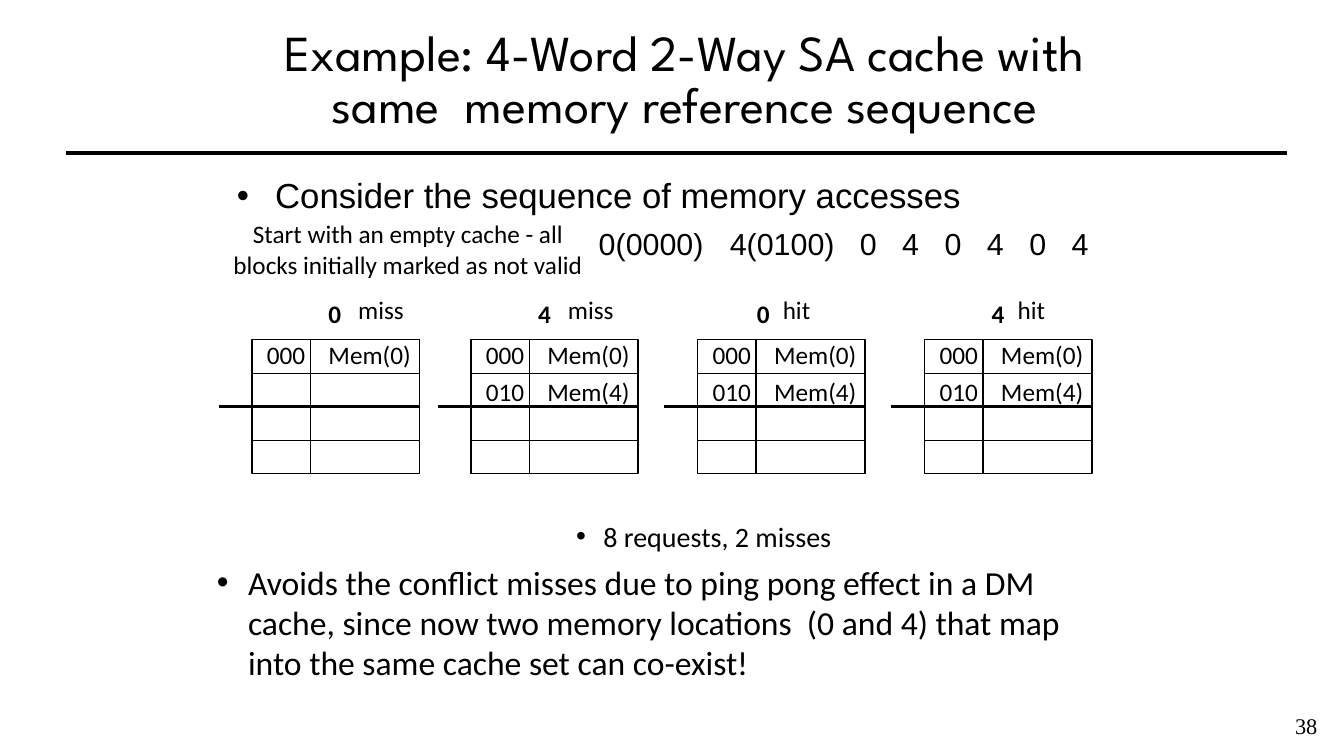
from dataclasses import dataclass

import pptx
import pptx.dml.color
import pptx.enum.shapes
import pptx.enum.text
import pptx.oxml.ns
import pptx.util
from lxml import etree

Inches, Pt = pptx.util.Inches, pptx.util.Pt
Align, Anchor = pptx.enum.text.PP_ALIGN, pptx.enum.text.MSO_ANCHOR
qn = pptx.oxml.ns.qn


@dataclass(frozen=True)
class Theme:
    ink: pptx.dml.color.RGBColor = pptx.dml.color.RGBColor(0, 0, 0)
    title_font: str = "League Spartan"
    body_font: str = "Calibri"
    lead_font: str = "Arial"
    number_font: str = "Times New Roman"
    title: float = 36
    lead: float = 24.8
    sequence: float = 21.7
    body: float = 24
    result: float = 20
    label: float = 18
    number: float = 16
    rule: float = 3
    set_divider: float = 2.25
    grid: float = 1


@dataclass(frozen=True)
class Box:
    left: float
    top: float
    width: float
    height: float


@dataclass(frozen=True)
class CacheState:
    left: float
    address_left: float
    address: str
    outcome_left: float
    outcome: str
    entries: tuple[str, ...]


THEME = Theme()
GRID_TOP, GRID_HEIGHT, ROWS = 3.37, 1.33, 4
TAG_WIDTH, DATA_WIDTH, DIVIDER_OVERHANG = 0.58, 1.08, 0.33
MEM_0, MEM_4 = "000\tMem(0)", "010\tMem(4)"
STATES = (
    CacheState(2.5, 3.15, "0", 3.45, "miss", (MEM_0,)),
    CacheState(4.67, 5.23, "4", 5.53, "miss", (MEM_0, MEM_4)),
    CacheState(6.92, 7.4, "0", 7.66, "hit", (MEM_0, MEM_4)),
    CacheState(9.17, 9.73, "4", 9.99, "hit", (MEM_0, MEM_4)),
)


def add_line(slide, x1: float, y1: float, x2: float, y2: float, weight: float) -> None:
    line = slide.shapes.add_connector(
        pptx.enum.shapes.MSO_CONNECTOR.STRAIGHT,
        Inches(x1), Inches(y1), Inches(x2), Inches(y2))
    line.line.color.rgb = THEME.ink
    line.line.width = Pt(weight)
    etree.SubElement(line._element.spPr, qn("a:effectLst"))


def add_text(slide, box: Box, text: str, size: float, font: str = THEME.body_font,
             align: Align = Align.CENTER, wrap: bool = True, bold: bool = False):
    sp = slide.shapes.add_textbox(
        Inches(box.left), Inches(box.top), Inches(box.width), Inches(box.height))
    tf = sp.text_frame
    tf.word_wrap = wrap
    tf.text = text
    p = tf.paragraphs[0]
    p.alignment = align
    for r in p.runs:
        r.font.name = font
        r.font.size = Pt(size)
        r.font.bold = bold
        r.font.color.rgb = THEME.ink
    return tf


def set_bullet(tf, margin: float, hang: float) -> None:
    pPr = tf.paragraphs[0]._p.get_or_add_pPr()
    pPr.set("marL", str(Inches(margin)))
    pPr.set("indent", str(-Inches(hang)))
    etree.SubElement(pPr, qn("a:buFont"), typeface="Arial")
    etree.SubElement(pPr, qn("a:buChar"), char="•")


def set_tabs(tf, stops: list[float]) -> None:
    tabs = etree.SubElement(tf.paragraphs[0]._p.get_or_add_pPr(), qn("a:tabLst"))
    for stop in stops:
        etree.SubElement(tabs, qn("a:tab"), pos=str(Inches(stop)), algn="l")


def set_slim_insets(tf) -> None:
    tf.margin_left = tf.margin_right = Inches(0.07)
    tf.margin_top = tf.margin_bottom = Inches(0.03)


def add_column(slide, left: float, width: float) -> None:
    sp = slide.shapes.add_shape(
        pptx.enum.shapes.MSO_SHAPE.RECTANGLE,
        Inches(left), Inches(GRID_TOP), Inches(width), Inches(GRID_HEIGHT))
    sp.shadow.inherit = False
    sp.fill.background()
    sp.line.color.rgb = THEME.ink
    sp.line.width = Pt(THEME.grid)
    for row in range(1, ROWS):
        y = GRID_TOP + row * GRID_HEIGHT / ROWS
        add_line(slide, left, y, left + width, y, THEME.grid)


def add_cache(slide, state: CacheState) -> None:
    # Tag and data columns, with a heavy line between the two sets
    data_left = state.left + TAG_WIDTH
    add_column(slide, state.left, TAG_WIDTH)
    add_column(slide, data_left, DATA_WIDTH)
    middle = GRID_TOP + GRID_HEIGHT / 2
    add_line(slide, state.left - DIVIDER_OVERHANG, middle,
             data_left + DATA_WIDTH, middle, THEME.set_divider)

    # Requested address and its outcome
    add_text(slide, Box(state.address_left, 2.91, 0.34, 0.4), state.address,
             THEME.label, wrap=False, bold=True)
    outcome_width = 0.66 if state.outcome == "miss" else 0.48
    add_text(slide, Box(state.outcome_left, 2.87, outcome_width, 0.4), state.outcome,
             THEME.label, wrap=False)

    # Stored blocks
    for row, entry in enumerate(state.entries):
        tf = add_text(slide, Box(state.left + 0.05, 3.32 + 0.36 * row, 1.64, 0.4),
                      entry, THEME.label, align=Align.LEFT)
        set_tabs(tf, [0.61])


def main() -> None:
    prs = pptx.Presentation()
    prs.slide_width, prs.slide_height = Inches(13.33), Inches(7.5)
    slide = prs.slides.add_slide(prs.slide_layouts[6])

    # Title and rule
    add_line(slide, 0.65, 1.52, 12.76, 1.52, THEME.rule)
    tf = add_text(slide, Box(0.58, 0.19, 12.42, 1.25),
                  "Example: 4-Word 2-Way SA cache with\vsame  memory reference sequence",
                  THEME.title, THEME.title_font)
    tf.vertical_anchor = Anchor.MIDDLE
    tf.paragraphs[0].line_spacing = 0.85

    # Access sequence and starting condition
    tf = add_text(slide, Box(2.25, 1.68, 8.92, 0.5),
                  "Consider the sequence of memory accesses",
                  THEME.lead, THEME.lead_font, Align.LEFT)
    set_bullet(tf, 0.38, 0.38)
    accesses = ["0(0000)", "4(0100)", "0", "4", "0", "4", "0", "4"]
    tf = add_text(slide, Box(5.84, 2.18, 5.33, 0.45), "\t".join(accesses),
                  THEME.sequence, THEME.lead_font, Align.LEFT)
    set_tabs(tf, [1.3] + [2.59 + 0.42 * i for i in range(len(accesses) - 2)])
    add_text(slide, Box(2.17, 2.12, 3.75, 0.71),
             "Start with an empty cache - all blocks initially marked as not valid",
             THEME.label)

    # Cache after each request
    for state in STATES:
        add_cache(slide, state)

    # Result and conclusion
    tf = add_text(slide, Box(2.25, 5.12, 8.92, 0.39), "8 requests, 2 misses", THEME.result)
    set_slim_insets(tf)
    set_bullet(tf, 0.81, 0.27)
    tf = add_text(slide, Box(2.08, 5.54, 8.92, 1.27),
                  "Avoids the conflict misses due to ping pong effect in a DM cache, "
                  "since now two memory locations  (0 and 4) that map into the same "
                  "cache set can co-exist!",
                  THEME.body, align=Align.LEFT)
    set_slim_insets(tf)
    set_bullet(tf, 0.31, 0.31)

    # Slide number
    add_text(slide, Box(12.67, 7.02, 0.57, 0.38), "38", THEME.number, THEME.number_font)

    prs.save("out.pptx")


if __name__ == "__main__":
    main()
